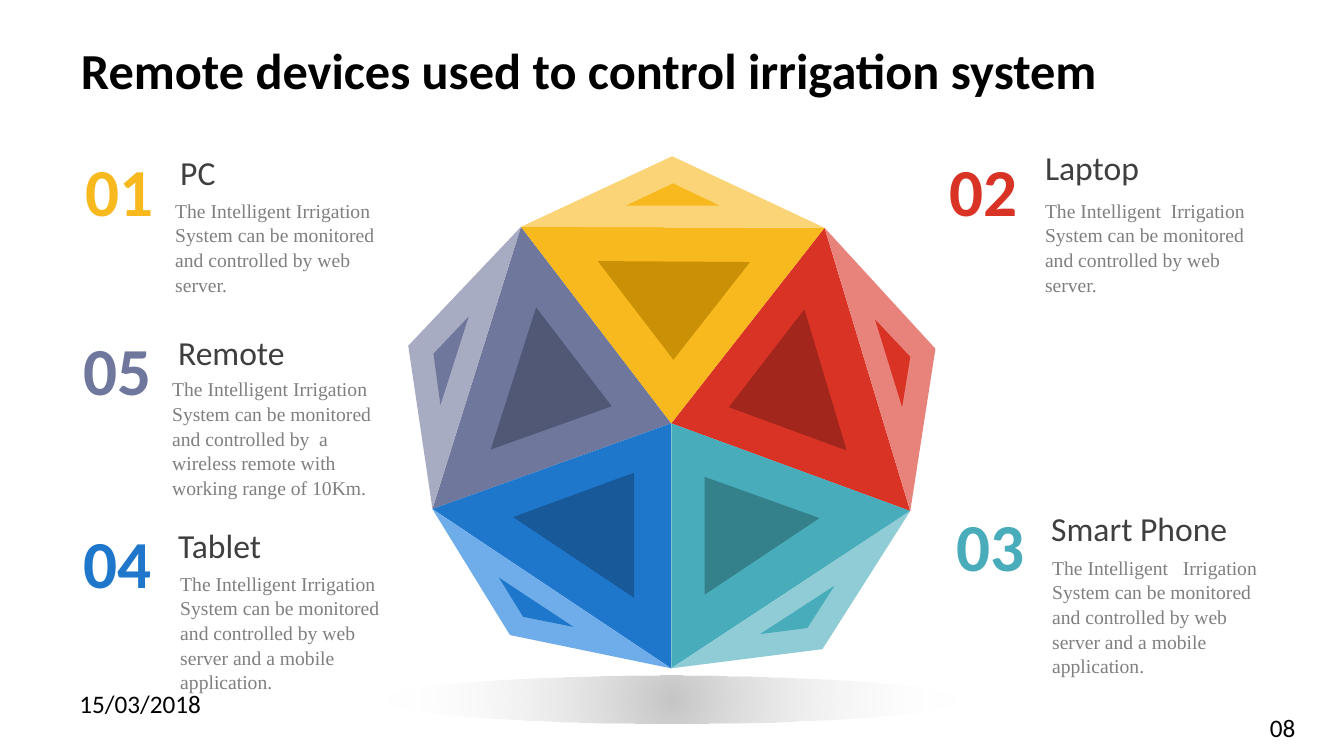
from pptx import Presentation
from pptx.dml.color import RGBColor as RGB
from pptx.enum.shapes import MSO_SHAPE as SHAPE
from pptx.enum.text import MSO_ANCHOR as ANCHOR, PP_ALIGN as ALIGN
from pptx.oxml import parse_xml
from pptx.oxml.ns import nsdecls, qn
from pptx.util import Pt

BLACK = RGB(0x00, 0x00, 0x00)
HEADING = RGB(0x3F, 0x3F, 0x3F)
BODY = RGB(0x7F, 0x7F, 0x7F)
YELLOW, YELLOW_DARK, YELLOW_LIGHT = RGB(0xF8, 0xB9, 0x1E), RGB(0xCA, 0x91, 0x06), RGB(0xFA, 0xD4, 0x77)
RED, RED_DARK, RED_LIGHT = RGB(0xD9, 0x33, 0x26), RGB(0xA2, 0x26, 0x1C), RGB(0xE8, 0x83, 0x7B)
TEAL, TEAL_DARK, TEAL_LIGHT = RGB(0x48, 0xAC, 0xBA), RGB(0x34, 0x81, 0x8C), RGB(0x90, 0xCC, 0xD5)
BLUE, BLUE_DARK, BLUE_LIGHT = RGB(0x1F, 0x77, 0xCC), RGB(0x17, 0x59, 0x99), RGB(0x6E, 0xAD, 0xE9)
SLATE, SLATE_DARK, SLATE_LIGHT = RGB(0x6F, 0x77, 0x9C), RGB(0x51, 0x58, 0x76), RGB(0xA8, 0xAC, 0xC2)

# Corners of the gem, in points
CENTRE = (479.5, 302.4)
TOP_LEFT, TOP_RIGHT = (372.2, 162), (589, 162.7)
LEFT, RIGHT, BOTTOM = (308.9, 363.6), (650.2, 365), (479.5, 477.4)

# Colours (main, dark, light), edge, outer corner, inner triangle, small outer triangle
FACETS = [
    (SLATE, SLATE_DARK, SLATE_LIGHT, (LEFT, TOP_LEFT), (291.6, 247),
     [(383, 219.6), (437, 290.2), (350.6, 321.1)],
     [(334.8, 226.1), (314.6, 289.4), (309.6, 252.7)]),
    (RED, RED_DARK, RED_LIGHT, (TOP_RIGHT, RIGHT), (668.2, 249.1),
     [(574.6, 221), (604.8, 321.8), (520.6, 290.9)],
     [(625, 228.2), (650.2, 254.9), (644.4, 290.9)]),
    (YELLOW, YELLOW_DARK, YELLOW_LIGHT, (TOP_LEFT, TOP_RIGHT), (480.2, 111.6),
     [(427, 186.5), (535.7, 187.2), (481, 257)],
     [(480.8, 131), (514.1, 146.9), (447.1, 146.9)]),
    (BLUE, BLUE_DARK, BLUE_LIGHT, (BOTTOM, LEFT), (364.3, 453.6),
     [(452.9, 337.7), (452.9, 427), (366.5, 369.4)],
     [(356.4, 412.6), (409.7, 447.8), (373.7, 440.6)]),
    (TEAL, TEAL_DARK, TEAL_LIGHT, (RIGHT, BOTTOM), (587.5, 463.7),
     [(503.3, 340.6), (585.4, 370.1), (503.3, 424.8)],
     [(596.2, 418.3), (576.7, 448.6), (542.9, 452.9)]),
]

# Number, colour, device, description, positions of the three texts, block height
DEVICES = [
    ("01", YELLOW, "PC",
     "The Intelligent Irrigation System can be monitored and controlled by web server.",
     (54, 100), (121.7, 103.7), (118.1, 137.5), 93.6),
    ("02", RED, "Laptop",
     "The Intelligent  Irrigation System can be monitored and controlled by web server.",
     (671, 100), (739.4, 100), (739.4, 137.5), 93.6),
    ("04", BLUE, "Tablet",
     "The Intelligent Irrigation System can be monitored and controlled by web server "
     "and a mobile application.",
     (52.6, 365.8), (120.2, 370.1), (121.7, 403.9), 122.4),
    ("03", TEAL, "Smart Phone",
     "The Intelligent   Irrigation System can be monitored and controlled by web server "
     "and a mobile application.",
     (676.1, 353.5), (743.8, 357.8), (744.5, 392.4), 119.5),
    ("05", SLATE, "Remote",
     "The Intelligent Irrigation System can be monitored and controlled by  a wireless "
     "remote with working range of 10Km.",
     (52.6, 228.2), (120.2, 231.8), (115.9, 265), 110.9),
]


def write(tf, text, size=18, color=BLACK, font="Calibri", bold=False, spacing=1.05):
    p = tf.paragraphs[0]
    p.alignment = ALIGN.LEFT
    p.line_spacing = spacing
    r = p.add_run()
    r.text = text
    r.font.name, r.font.size, r.font.bold = font, Pt(size), bold
    r.font.color.rgb = color


def add_text(shapes, text, pos, width, height, wrap=True, **fmt):
    x, y = pos
    tf = shapes.add_textbox(Pt(x), Pt(y), Pt(width), Pt(height)).text_frame
    tf.word_wrap = wrap
    write(tf, text, **fmt)


def add_title(s, text):
    sp = s.shapes.title
    sp.left, sp.top, sp.width, sp.height = Pt(48.2), Pt(21.6), Pt(864), Pt(56.2)
    tf = sp.text_frame
    tf.vertical_anchor = ANCHOR.MIDDLE
    tf.margin_left = tf.margin_right = Pt(9.6)
    tf.margin_top = tf.margin_bottom = Pt(4.8)
    write(tf, text, size=36, bold=True, spacing=1)


def add_ground_shadow(s):
    """Ellipse under the gem, fading from grey to clear."""
    sp = s.shapes.add_shape(SHAPE.OVAL, Pt(273.6), Pt(482.4), Pt(412.6), Pt(34.6))
    sp.shadow.inherit = False
    sp.line.fill.background()
    sp.fill.gradient()
    old = sp._element.spPr.find(qn("a:gradFill"))
    new = parse_xml(
        f'<a:gradFill {nsdecls("a")} rotWithShape="1"><a:gsLst>'
        '<a:gs pos="0"><a:srgbClr val="262626"><a:alpha val="27000"/></a:srgbClr></a:gs>'
        '<a:gs pos="100000"><a:srgbClr val="FFFFFF"><a:alpha val="0"/></a:srgbClr></a:gs>'
        '</a:gsLst><a:path path="circle">'
        '<a:fillToRect l="50000" t="50000" r="50000" b="50000"/></a:path></a:gradFill>')
    old.getparent().replace(old, new)


def add_polygon(shapes, points, color):
    start, *rest = [(Pt(x), Pt(y)) for x, y in points]
    builder = shapes.build_freeform(*start)
    builder.add_line_segments(rest, close=True)
    sp = builder.convert_to_shape()
    sp.shadow.inherit = False
    sp.fill.solid()
    sp.fill.fore_color.rgb = color
    sp.line.fill.background()


def add_gem(s):
    shapes = s.shapes.add_group_shape().shapes
    for main_color, dark, light, edge, outer, inner, small in FACETS:
        add_polygon(shapes, [*edge, CENTRE], main_color)
        add_polygon(shapes, [*edge, outer], light)
        add_polygon(shapes, inner, dark)
        add_polygon(shapes, small, main_color)


def add_device(s, number, color, name, description, number_pos, name_pos, text_pos, height):
    shapes = s.shapes.add_group_shape().shapes
    add_text(shapes, number, number_pos, 68.4, height, size=48, color=color, bold=True)
    add_text(shapes, description, text_pos, 167.8, height * 0.89,
             size=14, color=BODY, font="Times New Roman")
    add_text(shapes, name, name_pos, 167.8, height * 0.56, size=24, color=HEADING)


def main():
    prs = Presentation()
    prs.slide_width, prs.slide_height = Pt(960), Pt(540)
    s = prs.slides.add_slide(prs.slide_layouts[5])
    add_title(s, "Remote devices used to control irrigation system")
    add_ground_shadow(s)
    add_gem(s)
    for device in DEVICES:
        add_device(s, *device)
    add_text(s.shapes, "08", (900, 504), 40.3, 28.8)
    add_text(s.shapes, "15/03/2018", (49.7, 486.7), 102.2, 28.8, wrap=False)
    prs.save("out.pptx")


if __name__ == "__main__":
    main()
